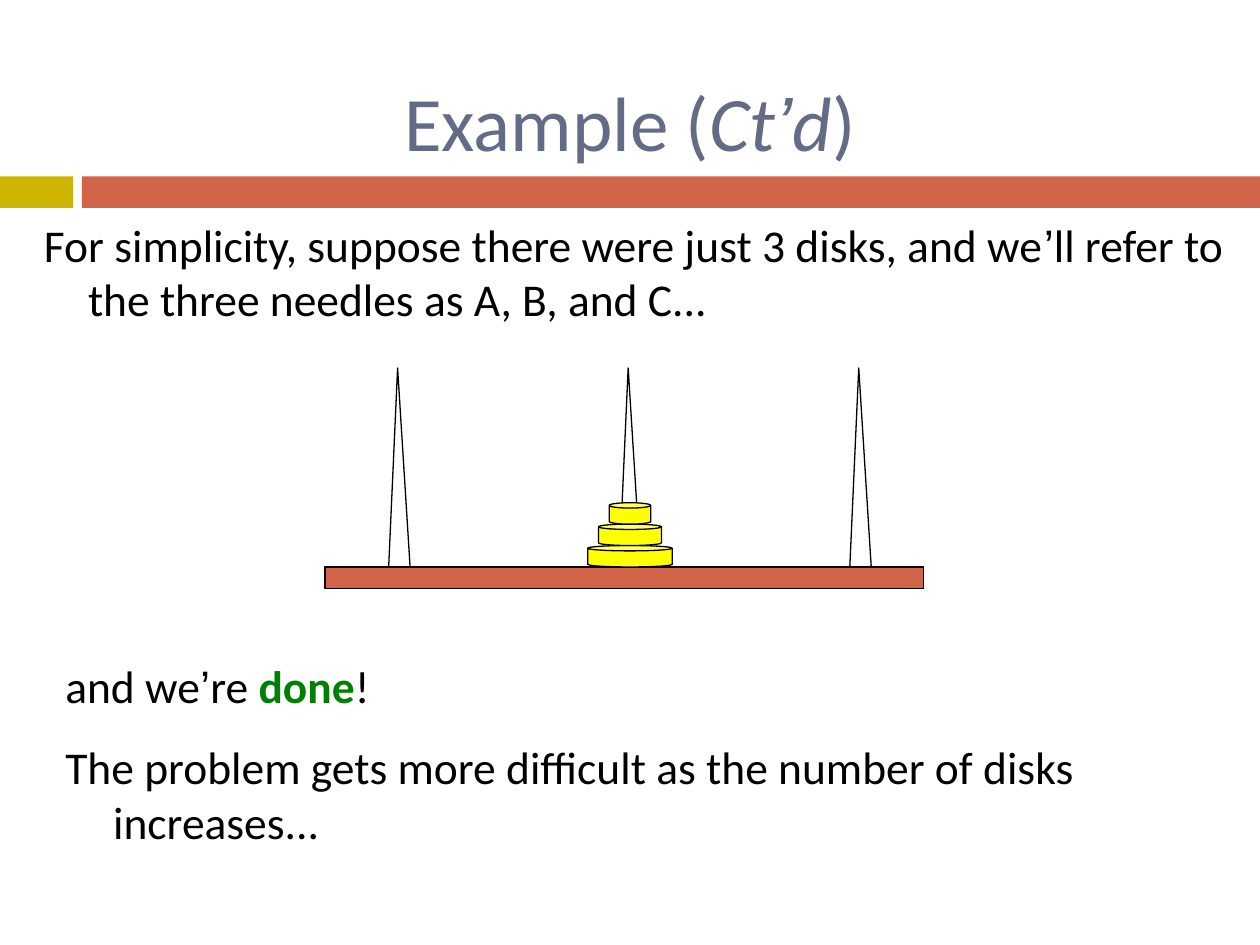
import pptx
import pptx.dml.color
import pptx.enum.shapes
import pptx.enum.text
import pptx.util
from pptx.dml.color import RGBColor
from pptx.util import Inches

BLACK = RGBColor(0x00, 0x00, 0x00)
WHITE = RGBColor(0xFF, 0xFF, 0xFF)
GOLD = RGBColor(0xCC, 0xB4, 0x00)
BRICK = RGBColor(0xD1, 0x63, 0x49)
SLATE = RGBColor(0x64, 0x6B, 0x86)
YELLOW = RGBColor(0xFF, 0xFF, 0x00)
GREEN = RGBColor(0x00, 0x80, 0x00)
SHAPES = pptx.enum.shapes.MSO_SHAPE


def add_filled_shape(slide, kind, box, fill, outlined=True):
    """Add a flat preset shape with an optional thin black outline."""
    shape = slide.shapes.add_shape(kind, *box)
    shape.shadow.inherit = False
    shape.fill.solid()
    shape.fill.fore_color.rgb = fill
    if outlined:
        shape.line.color.rgb = BLACK
        shape.line.width = pptx.util.Pt(0.75)
    else:
        shape.line.fill.background()
    return shape


def add_runs(paragraph, pieces, size, color):
    """Add runs given as (text, font overrides) pairs."""
    for text, overrides in pieces:
        run = paragraph.add_run()
        run.text = text
        run.font.name = overrides.get("name", "Calibri")
        run.font.size = pptx.util.Pt(size)
        run.font.color.rgb = overrides.get("color", color)
        run.font.bold = overrides.get("bold", False)
        run.font.italic = overrides.get("italic", False)


def add_title(slide, box):
    """Place and format the slide title."""
    title = slide.shapes.title
    title.left, title.top, title.width, title.height = box
    title.text_frame.vertical_anchor = pptx.enum.text.MSO_ANCHOR.MIDDLE
    paragraph = title.text_frame.paragraphs[0]
    paragraph.alignment = pptx.enum.text.PP_ALIGN.CENTER
    pieces = [
        ("Example (", {}),
        ("Ct", {"italic": True}),
        ("’", {"italic": True, "name": "Arial"}),
        ("d", {"italic": True}),
        (")", {}),
    ]
    add_runs(paragraph, pieces, 44, SLATE)


def add_title_band(slide, box):
    """Draw the two-colour band under the title."""
    left, top, width, height = box
    gold_width, red_start = Inches(0.58), Inches(0.65)
    add_filled_shape(slide, SHAPES.RECTANGLE, (left, top, gold_width, height), GOLD, False)
    red_box = (left + red_start, top, width - red_start, height)
    add_filled_shape(slide, SHAPES.RECTANGLE, red_box, BRICK, False)


def add_text(slide, box, paragraphs, indent):
    """Add body paragraphs with a hanging indent."""
    text_frame = slide.shapes.add_textbox(*box).text_frame
    text_frame.word_wrap = True
    for index, pieces in enumerate(paragraphs):
        paragraph = text_frame.add_paragraph() if index else text_frame.paragraphs[0]
        properties = paragraph._p.get_or_add_pPr()
        properties.set("marL", str(indent))
        properties.set("indent", str(-indent))
        if index:
            paragraph.space_before = pptx.util.Pt(15.6)
        add_runs(paragraph, pieces, 26, BLACK)


def add_tower(slide, box):
    """Draw three needles on a base, with the disks on the middle needle."""
    left, top, width, height = box
    needle_width, thickness = Inches(0.17), Inches(0.17)
    base_top = top + height - thickness
    middle = left + Inches(2.42)
    for offset in (-1, 0, 1):
        needle_left = middle + offset * Inches(1.83) - needle_width // 2
        needle_box = (needle_left, top, needle_width, base_top - top)
        needle = add_filled_shape(slide, SHAPES.ISOSCELES_TRIANGLE, needle_box, WHITE)
        needle.adjustments[0] = 0.417
    add_filled_shape(slide, SHAPES.RECTANGLE, (left, base_top, width, thickness), BRICK)
    for level in range(3):
        disk_width = Inches(0.67 - 0.17 * level)
        disk_top = base_top - (level + 1) * thickness
        disk_box = (middle - disk_width // 2, disk_top, disk_width, thickness)
        add_filled_shape(slide, SHAPES.CAN, disk_box, YELLOW).adjustments[0] = 0.25


def main():
    """Build and save the slide."""
    presentation = pptx.Presentation()
    presentation.slide_width = Inches(10)
    presentation.slide_height = Inches(7.5)
    slide = presentation.slides.add_slide(presentation.slide_layouts[5])
    add_title_band(slide, (0, Inches(1.4), Inches(10), Inches(0.25)))
    add_title(slide, (Inches(1), Inches(0.33), Inches(8), Inches(1.25)))
    introduction = [
        ("For simplicity, suppose there were just 3 disks, and we", {}),
        ("’", {"name": "Arial"}),
        ("ll refer to the three needles as A, B, and C...", {}),
    ]
    introduction_box = (Inches(0.25), Inches(1.67), Inches(9.58), Inches(1))
    add_text(slide, introduction_box, [introduction], Inches(0.35))
    add_tower(slide, (Inches(2.58), Inches(2.92), Inches(4.75), Inches(1.75)))
    conclusion = [
        ("and we", {}),
        ("’", {"name": "Arial"}),
        ("re ", {}),
        ("done", {"bold": True, "color": GREEN}),
        ("!", {}),
    ]
    outlook = [("The problem gets more difficult as the number of disks increases...", {})]
    conclusion_box = (Inches(0.42), Inches(5.17), Inches(9.33), Inches(1))
    add_text(slide, conclusion_box, [conclusion, outlook], Inches(0.38))
    presentation.save("out.pptx")


if __name__ == "__main__":
    main()
